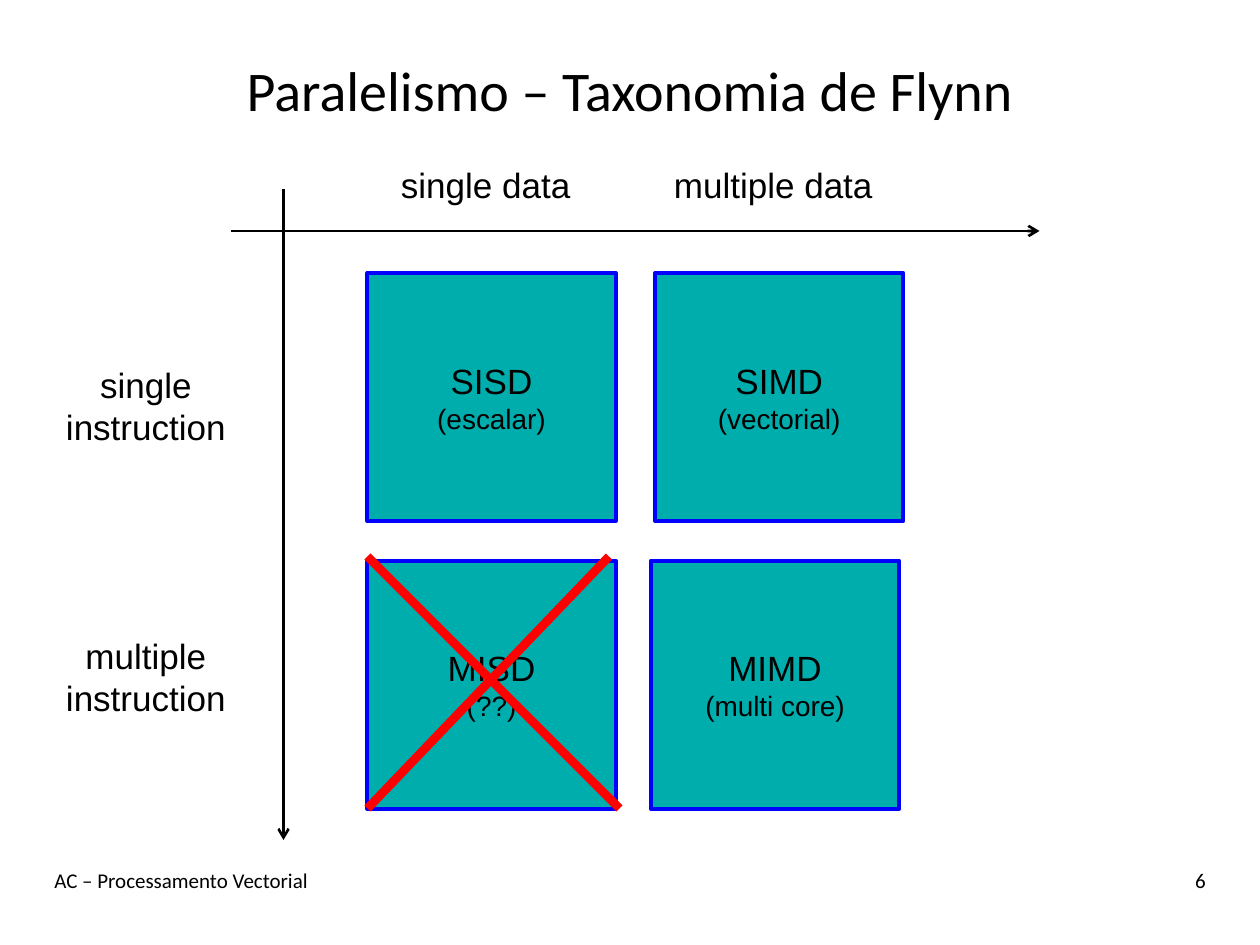
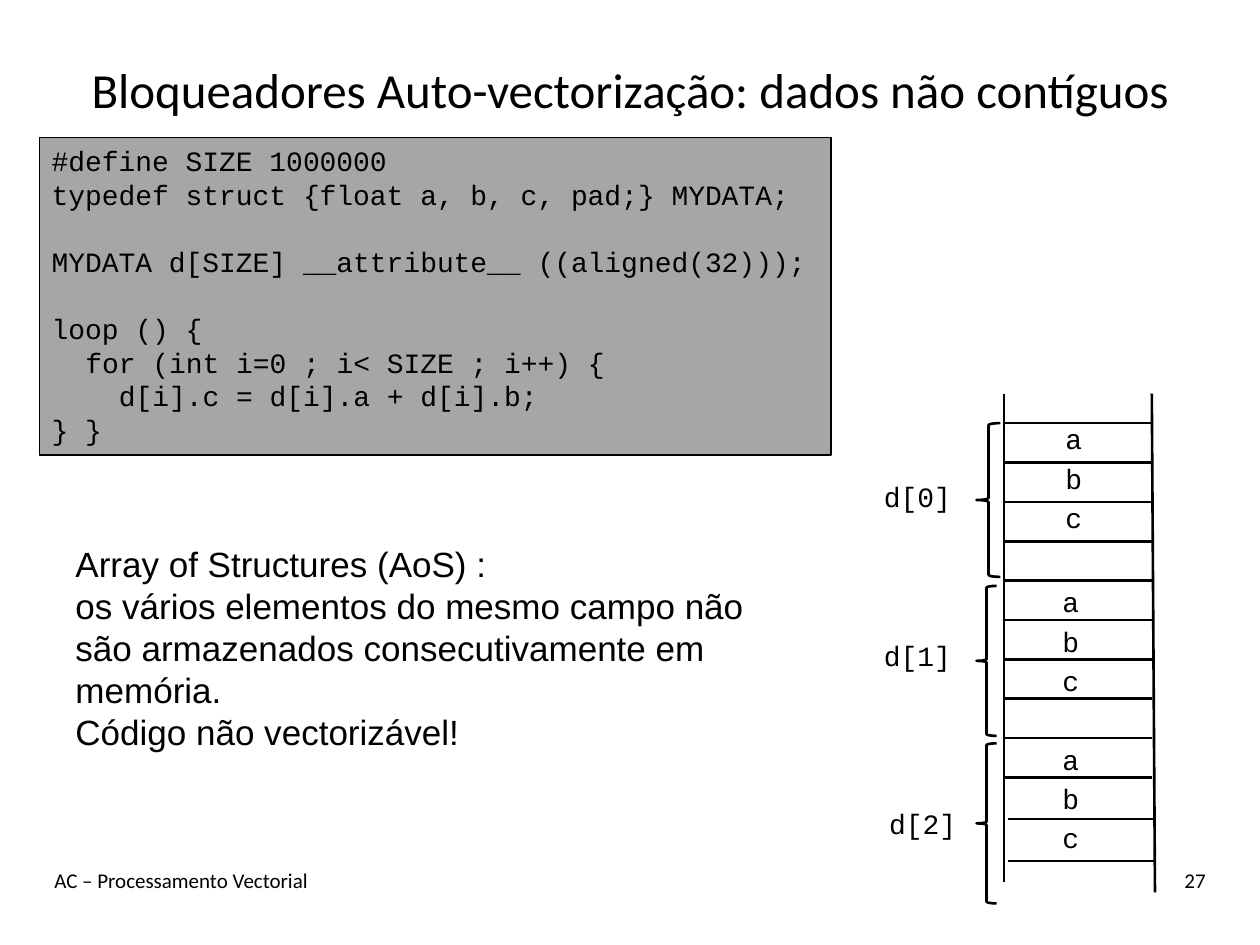
from lxml import etree
from pptx import Presentation
from pptx.dml.color import RGBColor
from pptx.enum.shapes import MSO_CONNECTOR, MSO_SHAPE
from pptx.enum.text import MSO_ANCHOR, PP_ALIGN
from pptx.oxml.ns import qn
from pptx.util import Inches, Pt

BLACK = RGBColor(0x00, 0x00, 0x00)
TEAL = RGBColor(0x00, 0xAD, 0xAD)
BLUE = RGBColor(0x00, 0x00, 0xFF)
RED = RGBColor(0xFF, 0x00, 0x00)
GRAY = RGBColor(0xA6, 0xA6, 0xA6)

LEFT, CENTER, RIGHT = PP_ALIGN.LEFT, PP_ALIGN.CENTER, PP_ALIGN.RIGHT
TOP, MIDDLE = MSO_ANCHOR.TOP, MSO_ANCHOR.MIDDLE
RECTANGLE, BRACE = MSO_SHAPE.RECTANGLE, MSO_SHAPE.LEFT_BRACE
STRAIGHT = MSO_CONNECTOR.STRAIGHT

HEADING_FONT, BODY_FONT, CODE_FONT = "Calibri", "Arial", "Courier New"
FOOTER = "AC – Processamento Vectorial"
COLUMNS, ROWS = 120, 90
BLANK_LAYOUT = 6
LEADING = 1.2


def write_text(shape, lines, font=BODY_FONT, size=20, sizes=None, align=LEFT,
               anchor=TOP, wrap=False, leading=LEADING):
    """Fill a shape with one paragraph per line; sizes overrides size line by line."""
    frame = shape.text_frame
    frame.word_wrap = wrap
    frame.vertical_anchor = anchor
    for index, line in enumerate(lines):
        para = frame.paragraphs[0] if index == 0 else frame.add_paragraph()
        para.alignment = align
        span = para.add_run()
        span.text = line
        span.font.name = font
        span.font.size = Pt(sizes[index] if sizes else size)
        span.font.color.rgb = BLACK
        if leading:
            para.line_spacing = Pt(span.font.size.pt * leading)
    return frame


class Deck:
    """Holds the presentation, its grid and the page being drawn."""

    def __init__(self):
        self.show = Presentation()
        self.show.slide_width = Inches(10)
        self.show.slide_height = Inches(7.5)
        self.page = None

    def x(self, columns):
        return round(self.show.slide_width * columns / COLUMNS)

    def y(self, rows):
        return round(self.show.slide_height * rows / ROWS)

    def area(self, left, top, width, height):
        return self.x(left), self.y(top), self.x(width), self.y(height)

    def new_page(self, title, number, title_size):
        self.page = self.show.slides.add_slide(self.show.slide_layouts[BLANK_LAYOUT])
        heading = dict(font=HEADING_FONT, wrap=True, leading=None)
        self.text([title], 4, 3, 112, 11, size=title_size, align=CENTER,
                  anchor=MIDDLE, **heading)
        self.text([FOOTER], 4, 82, 84, 6, size=12, **heading)
        self.text([str(number)], 100, 82, 16, 6, size=12, align=RIGHT, **heading)

    def text(self, lines, left, top, width, height, **style):
        box = self.page.shapes.add_textbox(*self.area(left, top, width, height))
        return write_text(box, lines, **style)

    def shape(self, kind, left, top, width, height, fill=None, line=BLACK, weight=1.5):
        shape = self.page.shapes.add_shape(kind, *self.area(left, top, width, height))
        shape.shadow.inherit = False
        if fill is None:
            shape.fill.background()
        else:
            shape.fill.solid()
            shape.fill.fore_color.rgb = fill
        shape.line.color.rgb = line
        shape.line.width = Pt(weight)
        return shape

    def line(self, x1, y1, x2, y2, color=BLACK, weight=1.5, arrow=False):
        line = self.page.shapes.add_connector(
            STRAIGHT, self.x(x1), self.y(y1), self.x(x2), self.y(y2))
        line.line.color.rgb = color
        line.line.width = Pt(weight)
        properties = line.element.spPr
        if arrow:
            outline = properties.find(qn("a:ln"))
            etree.SubElement(outline, qn("a:tailEnd")).set("type", "arrow")
        etree.SubElement(properties, qn("a:effectLst"))

    def code(self, lines, left, top, width, height):
        """Draw a code panel from (text, indent in characters, blank line before)."""
        size = 16
        panel = self.shape(RECTANGLE, left, top, width, height, fill=GRAY, weight=0.75)
        frame = write_text(panel, [text for text, _, _ in lines],
                           font=CODE_FONT, size=size, wrap=True)
        for para, (_, indent, gap) in zip(frame.paragraphs, lines):
            if indent:
                margin = Pt(size * 0.6 * indent)
                para._p.get_or_add_pPr().set("marL", str(int(margin)))
            if gap:
                para.space_before = Pt(size * LEADING)


def draw_taxonomy(deck):
    deck.new_page("Paralelismo – Taxonomia de Flynn", 6, 32)
    side = 23.64
    quadrants = [
        ("SISD", "(escalar)", 35, 26),
        ("SIMD", "(vectorial)", 62.4, 26),
        ("MISD", "(??)", 35, 53.4),
        ("MIMD", "(multi core)", 62, 53.4),
    ]
    for name, note, left, top in quadrants:
        box = deck.shape(RECTANGLE, left, top, side, side, TEAL, BLUE, 2.25)
        write_text(box, [name, note], sizes=(20, 16), align=CENTER, anchor=MIDDLE)
    for start, end in ((35, 59), (58, 35)):
        deck.line(start, 53, end, 77, color=RED, weight=5)

    deck.line(22, 22, 99, 22, arrow=True)
    deck.line(27, 18, 27, 80, arrow=True)
    for label, left, width in (("single data", 37, 18.7), ("multiple data", 63, 21.5)):
        deck.text([label], left, 15, width, 5.2)
    for label, top in (("single", 34), ("multiple", 59.8)):
        deck.text([label, "instruction"], 5, top, 17.8, 9.2, align=CENTER)


def draw_memory(deck):
    """Draw the memory column with its three records of four words."""
    word = 3.75
    left, right, first = 95.63, 109.7, 40.3
    label_style = dict(font=CODE_FONT, size=16)
    records = [  # label left and top, fields left and top, brace top, width and height
        (83, 45.1, 100.3, 39.6, 40.3, 2.28, 14.64),
        (83, 60.2, 100, 55.1, 55.8, 1.92, 14.28),
        (83.5, 76.2, 100, 70.1, 70.8, 1.92, 15.24),
    ]
    for index, record in enumerate(records):
        name_left, name_top, field_left, field_top, brace_top, width, height = record
        brace = deck.shape(BRACE, 93, brace_top, width, height)
        brace.adjustments[0] = 0.08
        deck.text([f"d[{index}]"], name_left, name_top, 8.9, 4.4, **label_style)
        for step, field in enumerate("abc"):
            deck.text([field], field_left, field_top + step * word, 4.1, 4.4,
                      **label_style)

    deck.line(left, 37.5, left, 84)
    deck.line(right, 37.5, 110, 85)
    for step in range(10):
        level = first + step * word
        deck.line(left, level, right, level)
    for level in (78, 82):
        deck.line(96, level, 110, level)


def draw_blockers(deck):
    deck.new_page("Bloqueadores Auto-vectorização: dados não contíguos", 27, 28)
    deck.code([
        ("#define SIZE 1000000", 0, False),
        ("typedef struct {float a, b, c, pad;} MYDATA;", 0, False),
        ("MYDATA d[SIZE] __attribute__ ((aligned(32)));", 0, True),
        ("loop () {", 0, True),
        ("for (int i=0 ; i< SIZE ; i++) {", 2, False),
        ("d[i].c = d[i].a + d[i].b;", 4, False),
        ("} }", 0, False),
    ], 3.75, 13.1, 75.4, 30.25)
    draw_memory(deck)
    deck.text([
        "Array of Structures (AoS) :",
        "os vários elementos do mesmo campo não são armazenados "
        "consecutivamente em memória.",
        "Código não vectorizável!",
    ], 6, 51.1, 68, 21.4, wrap=True)


def main():
    deck = Deck()
    draw_taxonomy(deck)
    draw_blockers(deck)
    deck.show.save("out.pptx")


if __name__ == "__main__":
    main()
